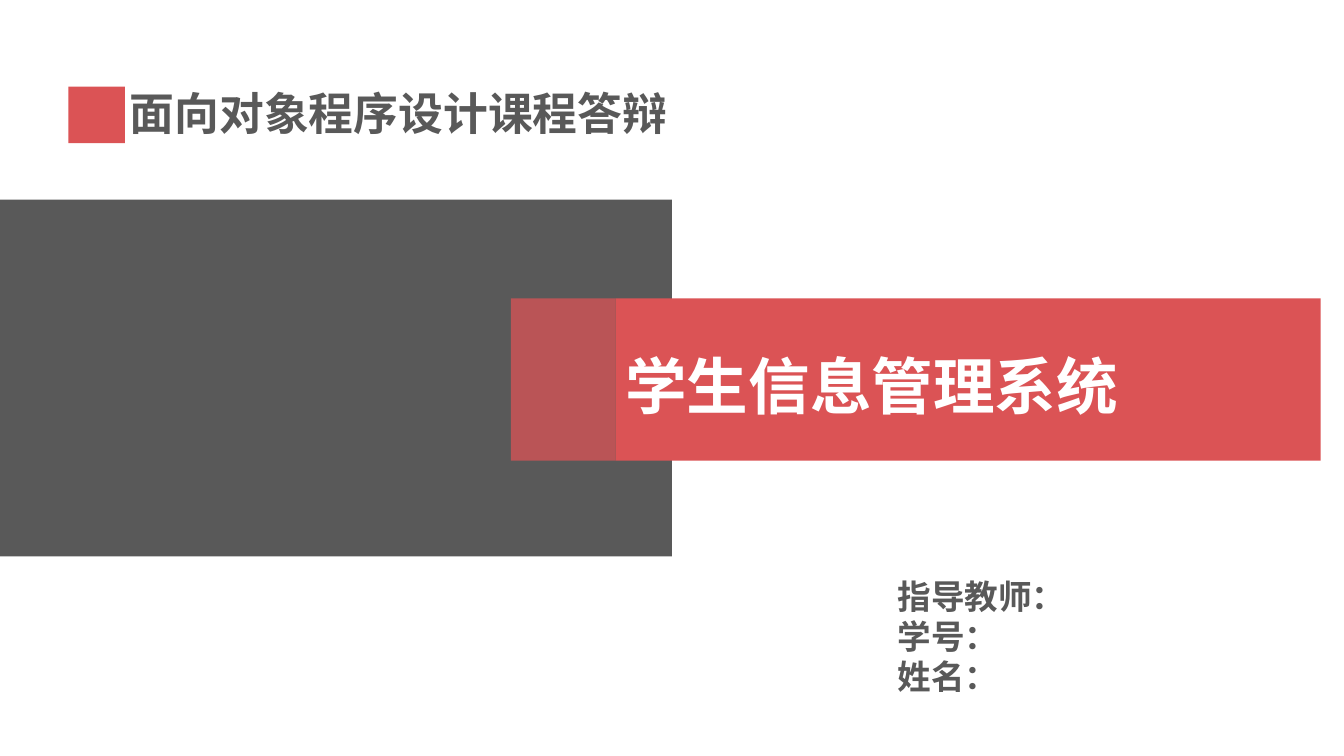
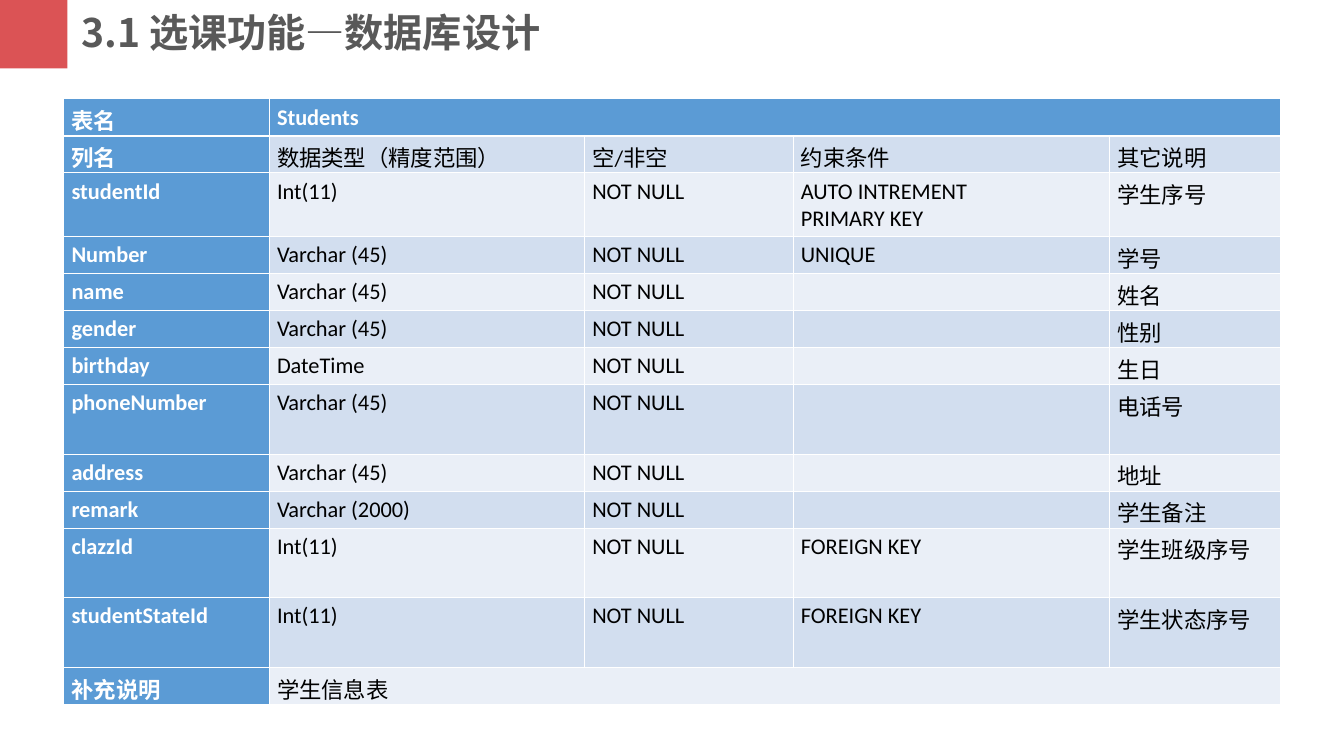
from lxml import etree
from pptx import Presentation
from pptx.dml.color import RGBColor
from pptx.enum.shapes import MSO_SHAPE
from pptx.enum.text import PP_ALIGN
from pptx.oxml.ns import qn
from pptx.util import Inches, Pt

RECTANGLE = MSO_SHAPE.RECTANGLE
LEFT, JUSTIFY = PP_ALIGN.LEFT, PP_ALIGN.JUSTIFY

RED, GRAY, BLUE = "DB5355", "595959", "5B9BD5"
WHITE, BLACK = "FFFFFF", "000000"
BANDS = ("EAEFF7", "D2DEEF")
HEADING_FONT, TABLE_FONT = "Noto Sans CJK SC", "Calibri"
SLIDE_WIDTH, SLIDE_HEIGHT = 13.34, 7.5
THIN_BORDER, HEADER_BORDER = 0.45, 1.5

COLUMN_WIDTHS = (2.04, 3.13, 2.07, 3.14, 1.7)
ROW_HEIGHT = 0.35
TALL_ROWS = {"studentId": 0.53, "phoneNumber": 0.69, "clazzId": 0.69, "studentStateId": 0.69}
STUDENT_ROWS = (
    ("表名", "Students"),
    ("列名", "数据类型（精度范围）", "空/非空", "约束条件", "其它说明"),
    ("studentId", "Int(11)", "NOT NULL", "AUTO INTREMENT\nPRIMARY KEY", "学生序号"),
    ("Number", "Varchar (45)", "NOT NULL", "UNIQUE", "学号"),
    ("name", "Varchar (45)", "NOT NULL", "", "姓名"),
    ("gender", "Varchar (45)", "NOT NULL", "", "性别"),
    ("birthday", "DateTime", "NOT NULL", "", "生日"),
    ("phoneNumber", "Varchar (45)", "NOT NULL", "", "电话号"),
    ("address", "Varchar (45)", "NOT NULL", "", "地址"),
    ("remark", "Varchar (2000)", "NOT NULL", "", "学生备注"),
    ("clazzId", "Int(11)", "NOT NULL", "FOREIGN KEY", "学生班级序号"),
    ("studentStateId", "Int(11)", "NOT NULL", "FOREIGN KEY", "学生状态序号"),
    ("补充说明", "学生信息表"),
)


def paint(fill, color):
    """Give a fill one solid colour from a hex string."""
    fill.solid()
    fill.fore_color.rgb = RGBColor.from_string(color)


def write_text(frame, text, size, color=GRAY, bold=True, font=HEADING_FONT, align=LEFT):
    """Write one paragraph for each line of text in a single format."""
    frame.word_wrap = True
    for index, line in enumerate(text.split("\n")):
        para = frame.paragraphs[0] if index == 0 else frame.add_paragraph()
        para.alignment = align
        if not line:
            etree.SubElement(para._p, qn("a:endParaRPr"), sz=str(size * 100))
            continue
        span = para.add_run()
        span.text = line
        span.font.size, span.font.bold, span.font.name = Pt(size), bold, font
        paint(span.font.fill, color)
        etree.SubElement(span.font._element, qn("a:ea"), typeface=HEADING_FONT)


def add_text(page, box, text, size, **style):
    """Place a text box at left, top, width, height."""
    write_text(page.shapes.add_textbox(*map(Inches, box)).text_frame, text, size, **style)


def add_block(page, box, color, opacity=100):
    """Place a plain rectangle without outline or shadow."""
    block = page.shapes.add_shape(RECTANGLE, *map(Inches, box))
    block.shadow.inherit = False
    block.line.fill.background()
    paint(block.fill, color)
    if opacity < 100:
        tint = block._element.spPr.find(f"{qn('a:solidFill')}/{qn('a:srgbClr')}")
        etree.SubElement(tint, qn("a:alpha"), val=str(opacity * 1000))


def set_borders(cell, top, bottom):
    """Draw white cell borders with the given top and bottom widths."""
    properties = cell._tc.get_or_add_tcPr()
    widths = {"L": THIN_BORDER, "R": THIN_BORDER, "T": top, "B": bottom}
    for side, width in widths.items():
        line = etree.SubElement(properties, qn(f"a:ln{side}"), w=str(Pt(width)))
        fill = etree.SubElement(line, qn("a:solidFill"))
        etree.SubElement(fill, qn("a:srgbClr"), val=WHITE)


def add_field_table(page, left, top, rows):
    """Place the field table, merging the value cells of two-part rows."""
    heights = [TALL_ROWS.get(row[0], ROW_HEIGHT) for row in rows]
    box = (left, top, sum(COLUMN_WIDTHS), sum(heights))
    table = page.shapes.add_table(len(rows), len(COLUMN_WIDTHS), *map(Inches, box)).table
    for column, width in zip(table.columns, COLUMN_WIDTHS):
        column.width = Inches(width)
    for row_index, values in enumerate(rows):
        table.rows[row_index].height = Inches(heights[row_index])
        for column_index in range(len(COLUMN_WIDTHS)):
            cell = table.cell(row_index, column_index)
            heading = row_index == 0 or column_index == 0
            cell.margin_left = cell.margin_right = Inches(0.08)
            set_borders(cell, HEADER_BORDER if row_index == 1 else THIN_BORDER,
                        HEADER_BORDER if row_index == 0 else THIN_BORDER)
            paint(cell.fill, BLUE if heading else BANDS[row_index % 2])
            text = values[column_index] if column_index < len(values) else ""
            write_text(cell.text_frame, text, 16, color=WHITE if heading else BLACK,
                       bold=heading, font=TABLE_FONT, align=JUSTIFY)
        if len(values) == 2:
            table.cell(row_index, 1).merge(table.cell(row_index, len(COLUMN_WIDTHS) - 1))


def add_course_heading(page, left, top):
    """Place the course name beside its red square."""
    add_text(page, (left + 0.51, top - 0.06, 5.67, 0.64), "面向对象程序设计课程答辩", 32)
    add_block(page, (left, top, 0.56, 0.56), RED)


def add_title_band(page, left, top, width, height):
    """Place the project title on a red band with a translucent tab."""
    tab_width = 1.04
    add_block(page, (left, top, width, height), RED)
    add_text(page, (left, top + 0.44, width, 0.84), "学生信息管理系统", 44, color=WHITE)
    add_block(page, (left - tab_width, top, tab_width, height), RED, opacity=75)


def build_cover(page):
    """Build the cover slide."""
    add_block(page, (0, 1.98, SLIDE_WIDTH / 2, 3.54), GRAY)
    add_title_band(page, 6.11, 2.96, 7, 1.61)
    add_course_heading(page, 0.68, 0.86)
    add_text(page, (8.81, 5.66, 4.31, 1.3), "指导教师：\n学号：\n姓名：", 24)


def build_table_page(page, title, rows):
    """Build a content slide with a marked title and a field table."""
    add_block(page, (0, 0, 0.67, 0.68), RED)
    add_text(page, (0.71, 0.03, 4.9, 1.04), title, 28)
    add_field_table(page, 0.63, 0.98, rows)


def main():
    """Build and save the deck."""
    deck = Presentation()
    deck.slide_width, deck.slide_height = Inches(SLIDE_WIDTH), Inches(SLIDE_HEIGHT)
    blank = deck.slide_layouts[6]
    build_cover(deck.slides.add_slide(blank))
    build_table_page(deck.slides.add_slide(blank), "3.1 选课功能—数据库设计", STUDENT_ROWS)
    deck.save("out.pptx")


if __name__ == "__main__":
    main()
